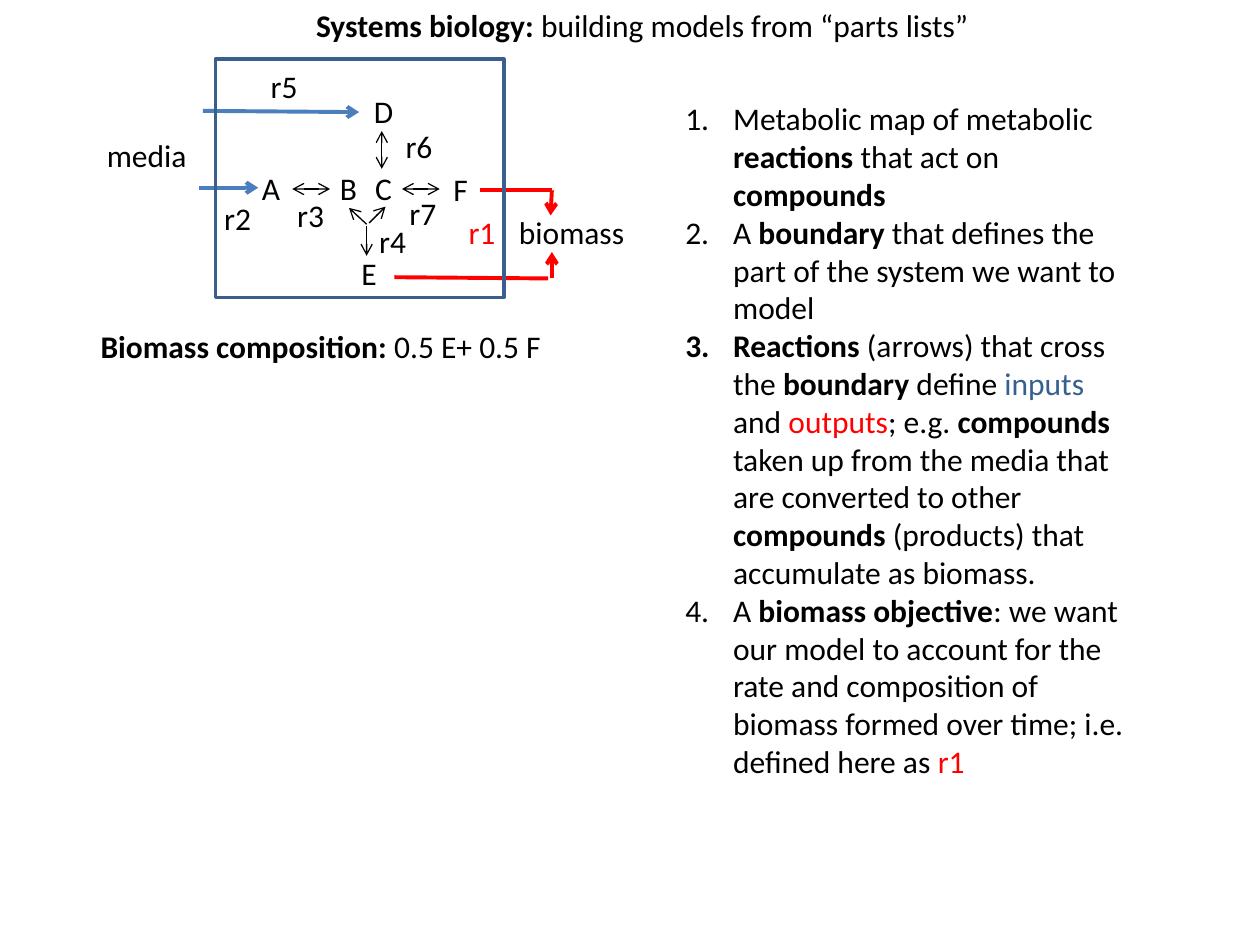
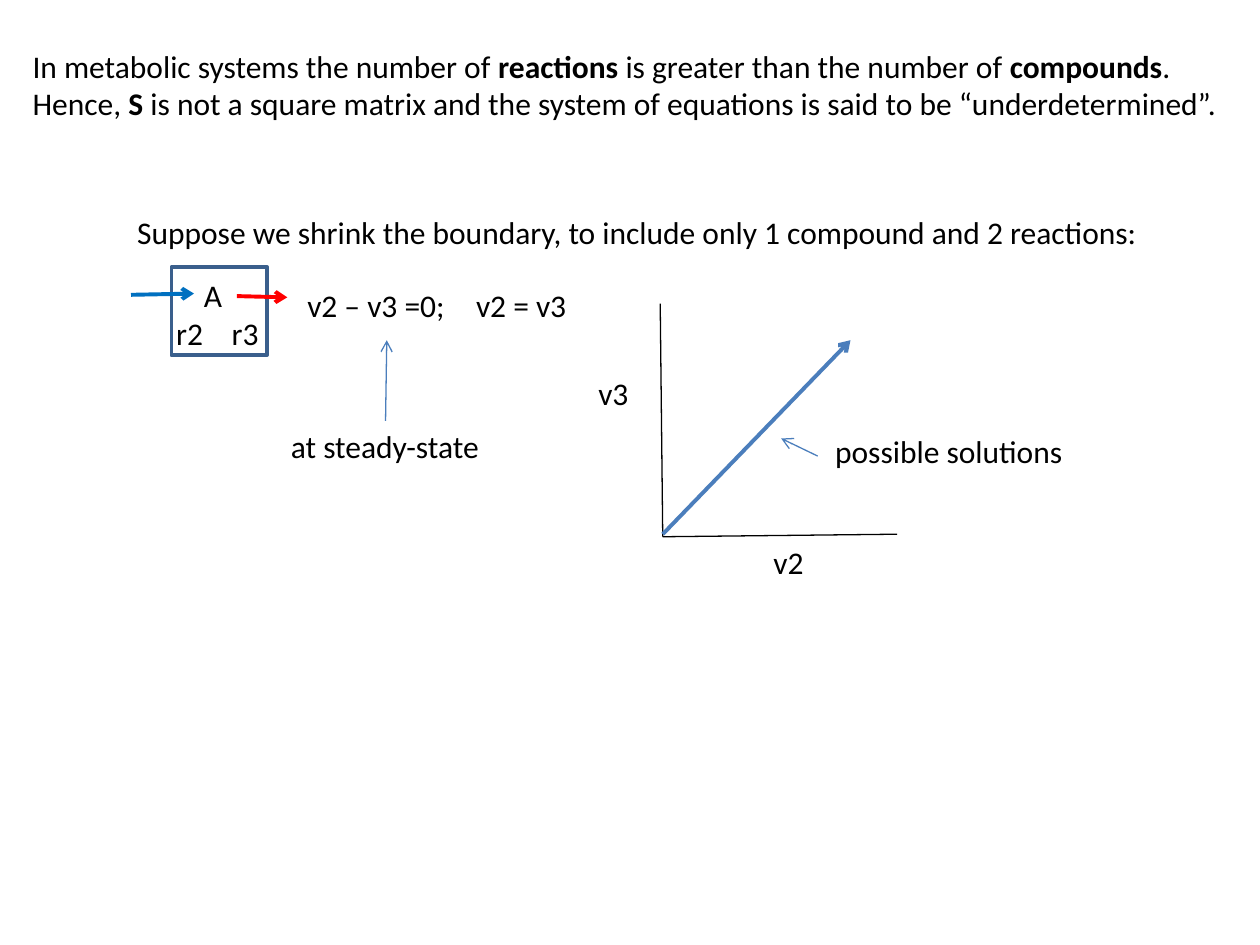
import pptx
import pptx.util
import pptx.dml.color
import pptx.enum.shapes
import pptx.enum.text
import pptx.oxml
import pptx.oxml.ns
import lxml.etree

Inches, Pt = pptx.util.Inches, pptx.util.Pt
FONT, SIZE = "Calibri", 18
HEX = dict(black="000000", edge="3A5F8C", flow="4B7EBC", red="FF0000",
           input="376092", media="0070C0")
THIN, THICK = 0.75, 2.25

# Content: a run is plain text or (text, "b" for bold or a colour name)
TITLE = [("Systems biology:", "b"), " building models from “parts lists”"]
BIOMASS = [("Biomass composition: ", "b"), "0.5 E+ 0.5 F"]
STEPS = [
    ["Metabolic map of metabolic ", ("reactions ", "b"), "that act on ",
     ("compounds", "b")],
    ["A ", ("boundary", "b"),
     " that defines the part of the system we want to model"],
    [("Reactions", "b"), " (arrows) that cross the ", ("boundary", "b"),
     " define ", ("inputs", "input"), " and ", ("outputs", "red"), "; e.g. ",
     ("compounds", "b"),
     " taken up from the media that are converted to other ",
     ("compounds", "b"), " (products) that accumulate as biomass."],
    ["A ", ("biomass objective", "b"),
     ": we want our model to account for the rate and composition of biomass "
     "formed over time; i.e. defined here as ", ("r1", "red")],
]
INTRO = [
    ["In metabolic systems the number of ", ("reactions", "b"),
     " is greater than the number of ", ("compounds", "b"), "."],
    ["Hence, ", ("S", "b"), " is not a square matrix and the system of "
     "equations is said to be “underdetermined”."],
]

# Labels: text, left, top, width
NODES = [("A", 1.98, 1.29, 0.35), ("B", 2.6, 1.29, 0.34),
         ("C", 2.88, 1.29, 0.34), ("D", 2.87, 0.68, 0.36),
         ("E", 2.77, 1.97, 0.32), ("F", 3.5, 1.3, 0.32),
         ("biomass", 4.02, 1.64, 1.05), ("media", 0.75, 1.03, 0.84)]
RATES = [("r2", 1.68, 1.53), ("r3", 2.26, 1.51), ("r4", 2.91, 1.71),
         ("r5", 2.05, 0.48), ("r6", 3.12, 0.96), ("r7", 3.15, 1.49)]
NOTES = [("v2 – v3 =0;", 2.34, 2.22, 1.31), ("v2 = v3", 3.68, 2.22, 0.93),
         ("v2", 6.04, 4.26, 0.44), ("v3", 4.65, 2.92, 0.44),
         ("possible solutions", 6.53, 3.38, 2.03),
         ("at steady-state", 2.21, 3.34, 1.71),
         ("Suppose we shrink the boundary, to include only 1 compound and "
          "2 reactions:", 0.99, 1.64, 8.37)]

# Lines: from x, y, to x, y, colour, width, arrow ends
MAP = [
    (2.32, 1.5, 2.62, 1.5, "black", THIN, "both"),
    (3.03, 1.34, 3.03, 1.04, "black", THIN, "both"),
    (3.19, 1.5, 3.49, 1.5, "black", THIN, "both"),
    (2.91, 1.78, 2.77, 1.65, "black", THIN, "end"),
    (2.93, 1.77, 3.06, 1.64, "black", THIN, "end"),
    (2.91, 1.79, 2.91, 2.03, "black", THIN, "end"),
    (1.58, 1.49, 2.05, 1.49, "flow", THICK, "end"),
    (1.61, 0.88, 2.85, 0.89, "flow", THICK, "end"),
    (3.81, 1.51, 4.38, 1.51, "red", THICK, ""),
    (3.13, 2.2, 4.35, 2.21, "red", THICK, ""),
    (4.38, 1.51, 4.37, 1.71, "red", THICK, "end"),
    (4.38, 2.21, 4.38, 2, "red", THICK, "end"),
]
PLOT = [
    (5.24, 2.41, 5.26, 4.26, "black", THIN, ""),
    (5.26, 4.26, 7.12, 4.24, "black", THIN, ""),
    (5.26, 4.24, 6.75, 2.7, "flow", THICK, "end"),
    (6.49, 3.62, 6.2, 3.48, "flow", THIN, "end"),
    (1.04, 2.34, 1.54, 2.33, "media", THICK, "end"),
    (1.88, 2.35, 2.28, 2.36, "red", THICK, "end"),
    (3.06, 3.34, 3.07, 2.7, "flow", THIN, "end"),
]


def rgb(name):
    return pptx.dml.color.RGBColor.from_string(HEX[name])


def add(parent, tag, **attrs):
    node = lxml.etree.SubElement(parent, pptx.oxml.ns.qn(tag))
    for key, val in attrs.items():
        node.set(key, str(val))
    return node


def text(slide, paras, x, y, w, h=0.4, wrap=False, color="black",
         number=False):
    """Add a text box; paras is a string or a list of lists of runs."""
    frame = slide.shapes.add_textbox(
        Inches(x), Inches(y), Inches(w), Inches(h)).text_frame
    frame.word_wrap = wrap
    frame.auto_size = pptx.enum.text.MSO_AUTO_SIZE.SHAPE_TO_FIT_TEXT
    if isinstance(paras, str):
        paras = [[paras]]
    for i, runs in enumerate(paras):
        para = frame.add_paragraph() if i else frame.paragraphs[0]
        if number:
            props = para._p.get_or_add_pPr()
            props.set("marL", str(Inches(0.38)))
            props.set("indent", str(-Inches(0.38)))
            add(props, "a:buFont", typeface=FONT)
            add(props, "a:buAutoNum", type="arabicPeriod")
        for item in runs:
            words, style = (item, "") if isinstance(item, str) else item
            run = para.add_run()
            run.text = words
            run.font.name, run.font.size = FONT, Pt(SIZE)
            run.font.bold = style == "b"
            run.font.color.rgb = rgb(style if style in HEX else color)
    return frame


def line(slide, x1, y1, x2, y2, color, width, ends):
    link = slide.shapes.add_connector(
        pptx.enum.shapes.MSO_CONNECTOR.STRAIGHT,
        Inches(x1), Inches(y1), Inches(x2), Inches(y2))
    link.line.color.rgb = rgb(color)
    link.line.width = Pt(width)
    stroke = link.line._get_or_add_ln()
    if ends == "both":
        add(stroke, "a:headEnd", type="arrow")
    if ends:
        add(stroke, "a:tailEnd", type="arrow")
    add(link._element.spPr, "a:effectLst")


def border(slide, x, y, w, h):
    box = slide.shapes.add_shape(
        pptx.enum.shapes.MSO_SHAPE.RECTANGLE,
        Inches(x), Inches(y), Inches(w), Inches(h))
    box.shadow.inherit = False
    box.fill.background()
    box.line.color.rgb = rgb("edge")
    box.line.width = Pt(2)


deck = pptx.Presentation()
deck.slide_width, deck.slide_height = Inches(10), Inches(7.5)
blank = deck.slide_layouts[6]

# Slide 1: metabolic map and modelling steps
one = deck.slides.add_slide(blank)
for label in NODES:
    text(one, *label)
for name, x, y in RATES:
    text(one, name, x, y, 0.42)
text(one, "r1", 3.62, 1.64, 0.42, color="red")
for item in MAP:
    line(one, *item)
border(one, 1.71, 0.47, 2.29, 1.89)
text(one, STEPS, 5.34, 0.74, 3.79, 5.86, wrap=True, number=True)
text(one, [BIOMASS], 0.7, 2.55, 3.73)
text(one, [TITLE], 2.41, 0, 5.62, wrap=True)

# Slide 2: one compound, two reactions
two = deck.slides.add_slide(blank)
cell = text(two, [["A"], ["r2\tr3"]], 1.3, 2.14, 0.86, 0.71)
cell.paragraphs[0]._p.get_or_add_pPr().set("marL", str(Inches(0.22)))
tabs = add(cell.paragraphs[1]._p.get_or_add_pPr(), "a:tabLst")
add(tabs, "a:tab", pos=Inches(0.44), algn="l")
for note in NOTES:
    text(two, *note)
text(two, INTRO, 0.16, 0.32, 9.68, 0.71, wrap=True)
border(two, 1.36, 2.12, 0.76, 0.7)
for item in PLOT:
    line(two, *item)

deck.save("out.pptx")
